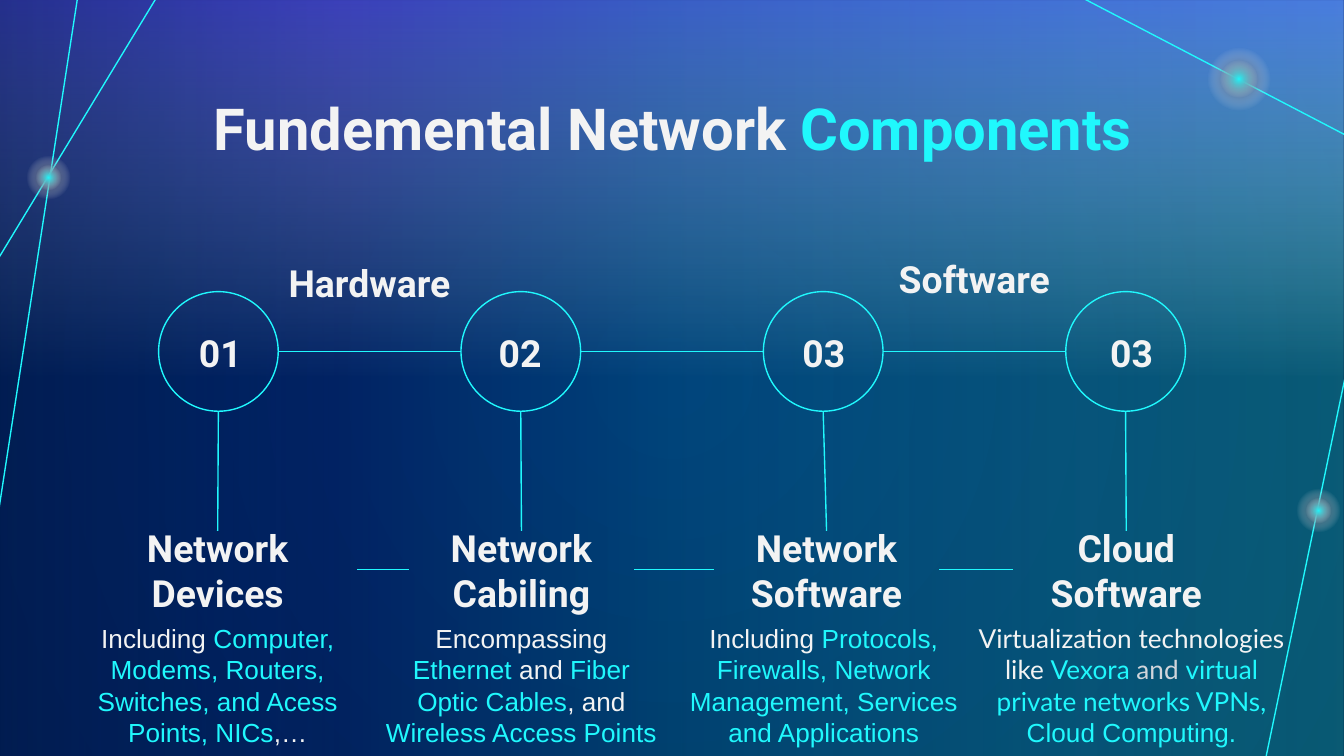
from lxml import etree
from pptx import Presentation
from pptx.dml.color import RGBColor
from pptx.enum.shapes import MSO_CONNECTOR, MSO_SHAPE
from pptx.enum.text import MSO_ANCHOR, PP_ALIGN
from pptx.oxml.ns import qn
from pptx.util import Inches, Pt

CYAN = RGBColor(0x20, 0xF8, 0xFD)
WHITE = RGBColor(0xF3, 0xF3, 0xF3)
GREY = RGBColor(0xD1, 0xD5, 0xDB)
NAVY = RGBColor(0x01, 0x20, 0x60)
DARK = RGBColor(0x00, 0x18, 0x3A)
PERIWINKLE = RGBColor(0x74, 0x8B, 0xFF)
VIOLET = RGBColor(0x76, 0x59, 0xFF)
TEAL = RGBColor(0x01, 0x82, 0xAA)
BLUE = RGBColor(0x02, 0x2E, 0x88)

STRAIGHT = MSO_CONNECTOR.STRAIGHT
RECT, OVAL = MSO_SHAPE.RECTANGLE, MSO_SHAPE.OVAL
TOP, MIDDLE = MSO_ANCHOR.TOP, MSO_ANCHOR.MIDDLE
CENTER = PP_ALIGN.CENTER

WIDTH = 10
HEIGHT = WIDTH * 9 / 16
RING, RING_TOP, RING_LEFT, RING_STEP = 0.89, 2.17, 1.18, 2.25
HEAD_TOP, HEAD_HEIGHT = 3.95, 0.58
BODY_TOP, BODY_HEIGHT = 4.53, 0.95

# number, its left; heading, its left and width; body left and width;
# body paragraphs of (text, colour, font) runs
COLUMNS = [
    ("01", 0.82, "Network Devices", 0.58, 2.08, 0.58, 2.08,
     [[("Including ", WHITE, "Arial"),
       ("Computer, Modems, Routers, Switches, and Acess Points, NICs", CYAN, "Arial"),
       (",…", WHITE, "Arial")]]),
    ("02", 3.05, "Network Cabiling", 3.04, 1.68, 2.75, 2.26,
     [[("Encompassing ", WHITE, "Arial"), ("Ethernet", CYAN, "Arial"),
       (" and ", WHITE, "Arial"), ("Fiber Optic Cables", CYAN, "Arial"),
       (", and ", WHITE, "Arial"), ("Wireless Access Points", CYAN, "Arial")]]),
    ("03", 5.31, "Network Software", 5.31, 1.68, 5.01, 2.24,
     [[("Including ", WHITE, "Arial"),
       ("Protocols, Firewalls, Network Management, Services and Applications",
        CYAN, "Arial")]]),
    ("03", 7.6, "Cloud Software", 7.54, 1.68, 7.17, 2.5,
     [[("Virtualization technologies like ", WHITE, "Lato"), ("Vexora", CYAN, "Lato"),
       (" and ", GREY, "Lato"), ("virtual private networks VPNs,", CYAN, "Lato")],
      [("Cloud Computing.", CYAN, "Arial")]]),
]


def set_gradient(parent, stops, angle=None):
    """Swap the solid fill in parent for a gradient; no angle means circular.

    Stops are (position, colour, opacity), both numbers in percent.
    """
    solid = parent.find(qn("a:solidFill"))
    grad = etree.Element(qn("a:gradFill"), rotWithShape="1")
    gs_list = etree.SubElement(grad, qn("a:gsLst"))
    for position, color, opacity in stops:
        gs = etree.SubElement(gs_list, qn("a:gs"), pos=str(position * 1000))
        clr = etree.SubElement(gs, qn("a:srgbClr"), val=str(color))
        if opacity < 100:
            etree.SubElement(clr, qn("a:alpha"), val=str(opacity * 1000))
    if angle is None:
        path = etree.SubElement(grad, qn("a:path"), path="circle")
        etree.SubElement(path, qn("a:fillToRect"),
                         dict.fromkeys("ltrb", "50000"))
    else:
        etree.SubElement(grad, qn("a:lin"), ang=str(angle * 60000), scaled="0")
    parent.replace(solid, grad)


def add_gradient_shape(s, kind, x, y, w, h, stops, angle=None):
    sp = s.shapes.add_shape(kind, Inches(x), Inches(y), Inches(w), Inches(h))
    sp.shadow.inherit = False
    sp.line.fill.background()
    sp.fill.solid()
    set_gradient(sp._element.spPr, stops, angle)


def add_line(s, x1, y1, x2, y2):
    line = s.shapes.add_connector(STRAIGHT, Inches(x1), Inches(y1),
                                  Inches(x2), Inches(y2))
    line.line.color.rgb = CYAN
    line.line.width = Pt(0.75)
    etree.SubElement(line._element.spPr, qn("a:effectLst"))
    return line


def add_text(s, x, y, w, h, paragraphs, size, bold=False, anchor=MIDDLE):
    sp = s.shapes.add_textbox(Inches(x), Inches(y), Inches(w), Inches(h))
    tf = sp.text_frame
    tf.word_wrap = True
    tf.vertical_anchor = anchor
    tf.margin_left = tf.margin_right = Inches(0.1)
    tf.margin_top = tf.margin_bottom = Inches(0.1)
    for i, runs in enumerate(paragraphs):
        p = tf.add_paragraph() if i else tf.paragraphs[0]
        p.alignment = CENTER
        for text, color, font in runs:
            r = p.add_run()
            r.text = text
            r.font.size = Pt(size)
            r.font.bold = bold
            r.font.name = font
            r.font.color.rgb = color
    return sp


def add_label(s, x, y, w, h, text):
    return add_text(s, x, y, w, h, [[(text, WHITE, "Roboto")]], 20, bold=True)


def add_glow(s, cx, cy, halo, core):
    for size, color in ((halo, DARK), (core, CYAN)):
        add_gradient_shape(s, OVAL, cx - size / 2, cy - size / 2, size, size,
                           [(0, color, 100), (50, WHITE, 0), (100, WHITE, 0)])


def add_backdrop(s):
    s.background.fill.solid()
    set_gradient(s._element.find(".//" + qn("p:bgPr")),
                 [(0, NAVY, 100), (100, DARK, 100)])
    add_gradient_shape(s, RECT, 0, 0, WIDTH, HEIGHT,
                       [(0, PERIWINKLE, 0), (50, WHITE, 0), (100, VIOLET, 77)], 270)
    add_gradient_shape(s, RECT, 0, 0, WIDTH, HEIGHT,
                       [(0, CYAN, 29), (50, TEAL, 36), (75, BLUE, 35),
                        (100, NAVY, 60)], 180)
    for ends in ((7.93, -0.08, 10.04, 1.02), (1.19, -0.06, -0.01, 1.92),
                 (0.59, -0.1, -0.01, 3.8), (9.41, 5.68, 10.01, 2.8)):
        add_line(s, *ends)
    for glow in ((0.36, 1.32, 0.46, 0.27), (9.22, 0.59, 0.66, 0.39),
                 (9.81, 3.8, 0.46, 0.27)):
        add_glow(s, *glow)


def add_column(s, x, column):
    """Place a numbered ring at x, its stem, heading and body; return the heading."""
    number, num_x, title, head_x, head_w, body_x, body_w, body = column
    ring = s.shapes.add_shape(OVAL, Inches(x), Inches(RING_TOP),
                              Inches(RING), Inches(RING))
    ring.shadow.inherit = False
    ring.fill.background()
    ring.line.color.rgb = CYAN
    ring.line.width = Pt(0.75)
    add_label(s, num_x, 2.33, 1.64, 0.58, number)
    heading = add_label(s, head_x, HEAD_TOP, head_w, HEAD_HEIGHT, title)
    add_text(s, body_x, BODY_TOP, body_w, BODY_HEIGHT, body, 14, anchor=TOP)
    center = x + RING / 2
    stem = add_line(s, center, RING_TOP + RING, center, HEAD_TOP)
    stem.end_connect(heading, 0)
    return heading


def add_timeline(s):
    previous = None
    for i, column in enumerate(COLUMNS):
        x = RING_LEFT + i * RING_STEP
        heading = add_column(s, x, column)
        if previous is not None:
            ring_y = RING_TOP + RING / 2
            add_line(s, x - RING_STEP + RING, ring_y, x, ring_y)
            dash = add_line(s, x, HEAD_TOP, x, HEAD_TOP)
            dash.begin_connect(previous, 3)
            dash.end_connect(heading, 1)
        previous = heading
    add_label(s, 6.46, 1.81, 1.58, 0.52, "Software")
    add_label(s, 1.95, 1.81, 1.6, 0.58, "Hardware")


def main():
    prs = Presentation()
    prs.slide_width, prs.slide_height = Inches(WIDTH), Inches(HEIGHT)
    s = prs.slides.add_slide(prs.slide_layouts[6])
    add_backdrop(s)
    add_text(s, 0.79, 0.59, 8.43, 0.69,
             [[("Fundemental Network ", WHITE, "Roboto"),
               ("Components", CYAN, "Roboto")]], 31, bold=True, anchor=TOP)
    add_timeline(s)
    prs.save("out.pptx")


if __name__ == "__main__":
    main()
